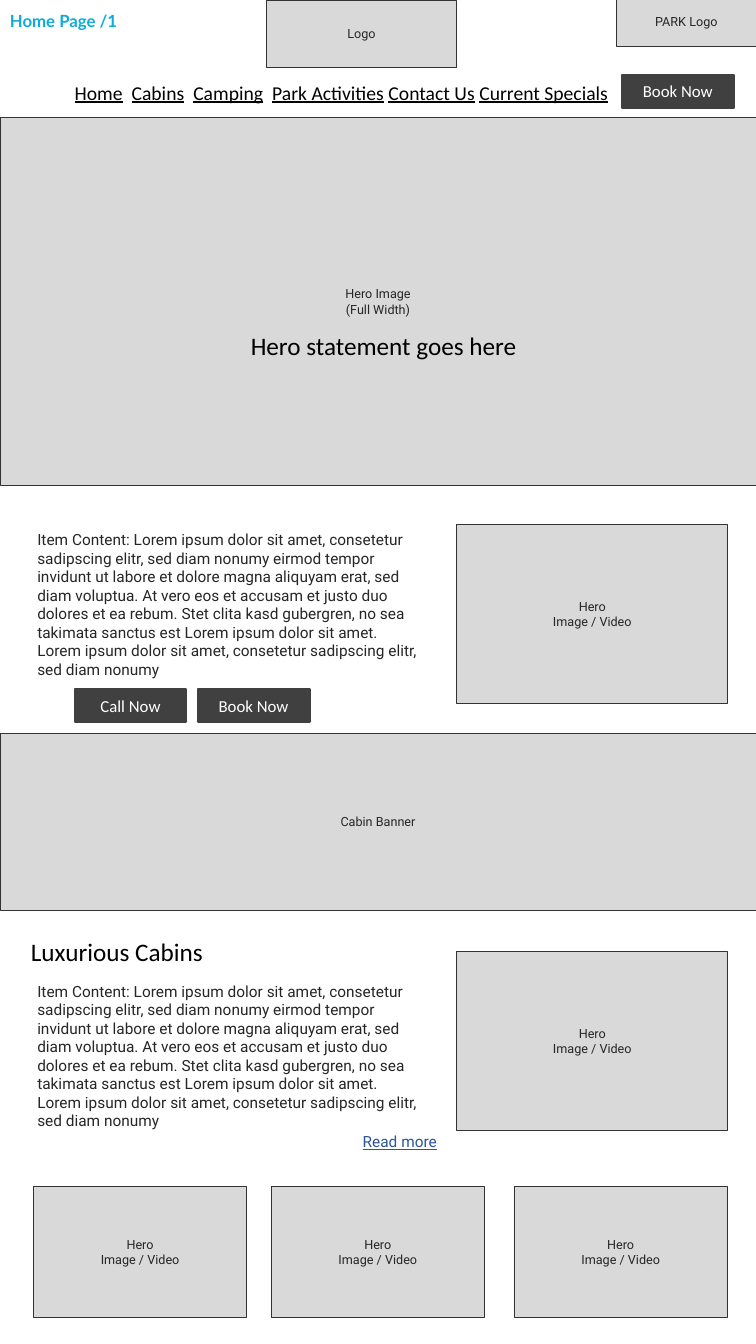
from pptx import Presentation
from pptx.dml.color import RGBColor
from pptx.enum.shapes import MSO_SHAPE
from pptx.enum.text import MSO_ANCHOR, MSO_AUTO_SIZE, PP_ALIGN
from pptx.util import Cm, Pt

BODY = (
    "Item Content: Lorem ipsum dolor sit amet, consetetur sadipscing elitr, "
    "sed diam nonumy eirmod tempor invidunt ut labore et dolore magna "
    "aliquyam erat, sed diam voluptua. At vero eos et accusam et justo duo "
    "dolores et ea rebum. Stet clita kasd gubergren, no sea takimata sanctus "
    "est Lorem ipsum dolor sit amet. Lorem ipsum dolor sit amet, consetetur "
    "sadipscing elitr, sed diam nonumy"
)
MEDIA = "Hero\nImage / Video"
LINKS = [("Home", 3.2), ("Cabins", 3.2), ("Camping", 3.2),
         ("Park Activities", 0), ("Contact Us", 0), ("Current Specials", 0)]


def tint(code):
    return RGBColor.from_string(code)


class Page:
    FONTS = {
        "note": ({"name": "Roboto", "size": Pt(9)}, "262626"),
        "body": ({"name": "Roboto", "size": Pt(11)}, "262626"),
        "link": ({"name": "Roboto", "size": Pt(11), "underline": True}, "2F5597"),
        "menu": ({"name": "Calibri", "size": Pt(14)}, "000000"),
        "head": ({"name": "Calibri", "size": Pt(18)}, "000000"),
        "press": ({"name": "Calibri", "size": Pt(12)}, "FFFFFF"),
        "label": ({"name": "Lato", "size": Pt(12), "bold": True}, "0CADDB"),
    }

    def __init__(self, slide):
        self.slide = slide

    def style(self, run, kind, **more):
        form, color = self.FONTS[kind]
        for key, value in {**form, **more}.items():
            setattr(run.font, key, value)
        run.font.color.rgb = tint(color)

    def inset(self, frame, across, down):
        for side, gap in {"left": across, "right": across,
                          "top": down, "bottom": down}.items():
            setattr(frame, "margin_" + side, Cm(gap))

    def rect(self, box, text, kind, fill, edge, width):
        shape = self.slide.shapes.add_shape(MSO_SHAPE.RECTANGLE, *map(Cm, box))
        shape.shadow.inherit = False
        shape.fill.solid()
        shape.fill.fore_color.rgb = tint(fill)
        shape.line.color.rgb = tint(edge)
        shape.line.width = Pt(width)
        frame = shape.text_frame
        frame.vertical_anchor = MSO_ANCHOR.MIDDLE
        frame.text = text
        for para in frame.paragraphs:
            para.alignment = PP_ALIGN.CENTER
            self.style(para.runs[0], kind)
        return frame

    def block(self, box, text):
        self.rect(box, text, "note", "D9D9D9", "333333", 0.5)

    def button(self, left, top, text):
        frame = self.rect((left, top, 2.82, 0.84), text, "press",
                          "404040", "404040", 1.5)
        self.inset(frame, 0.13, 0.13)

    def frame(self, box, inset=(0.25, 0.13)):
        frame = self.slide.shapes.add_textbox(*map(Cm, box)).text_frame
        frame.word_wrap = True
        frame.auto_size = MSO_AUTO_SIZE.SHAPE_TO_FIT_TEXT
        self.inset(frame, *inset)
        return frame

    def text(self, box, text, kind, inset=(0.25, 0.13), after=0):
        para = self.frame(box, inset).paragraphs[0]
        para.space_after = Pt(after)
        run = para.add_run()
        run.text = text
        self.style(run, kind)

    def menu(self, box, links):
        para = self.frame(box).paragraphs[0]
        for name, gap in links:
            run = para.add_run()
            run.text = name
            self.style(run, "menu", underline=True)
            if name != links[-1][0]:
                space = para.add_run()
                space.text = " "
                self.style(space, "menu", underline=False)
                space._r.get_or_add_rPr().set("spc", str(int(gap * 100)))


def main():
    deck = Presentation()
    deck.slide_width, deck.slide_height = Cm(19.05), Cm(33.86)
    page = Page(deck.slides.add_slide(deck.slide_layouts[6]))

    page.text((0.05, 0.18, 7.01, 0.69), "Home Page /1", "label", (0.2, 0.1))
    page.block((6.71, 0, 4.8, 1.7), "Logo")
    page.block((15.54, -0.08, 3.51, 1.24), "PARK Logo")
    page.menu((1.63, 1.9, 18.24, 0.86), LINKS)
    page.button(15.67, 1.88, "Book Now")

    page.block((0, 2.97, 19.05, 9.25), "Hero Image\n(Full Width)")
    page.text((6.07, 8.2, 11.66, 1.02), "Hero statement goes here", "head")

    for body, media in ((13.36, 13.21), (24.74, 23.98)):
        page.text((0.94, body, 9.63, 3.76), BODY, "body", (0, 0), 6)
        page.block((11.51, media, 6.83, 4.5), MEDIA)

    page.button(1.88, 17.35, "Call Now")
    page.button(4.98, 17.35, "Book Now")
    page.block((0, 18.47, 19.05, 4.47), "Cabin Banner")
    page.text((0.53, 23.47, 11.66, 1.02), "Luxurious Cabins", "head")
    page.text((9.14, 28.52, 2.36, 0.48), "Read more", "link", (0, 0), 6)

    for left in (0.84, 6.83, 12.95):
        page.block((left, 29.9, 5.38, 3.3), MEDIA)

    deck.save("out.pptx")


if __name__ == "__main__":
    main()
